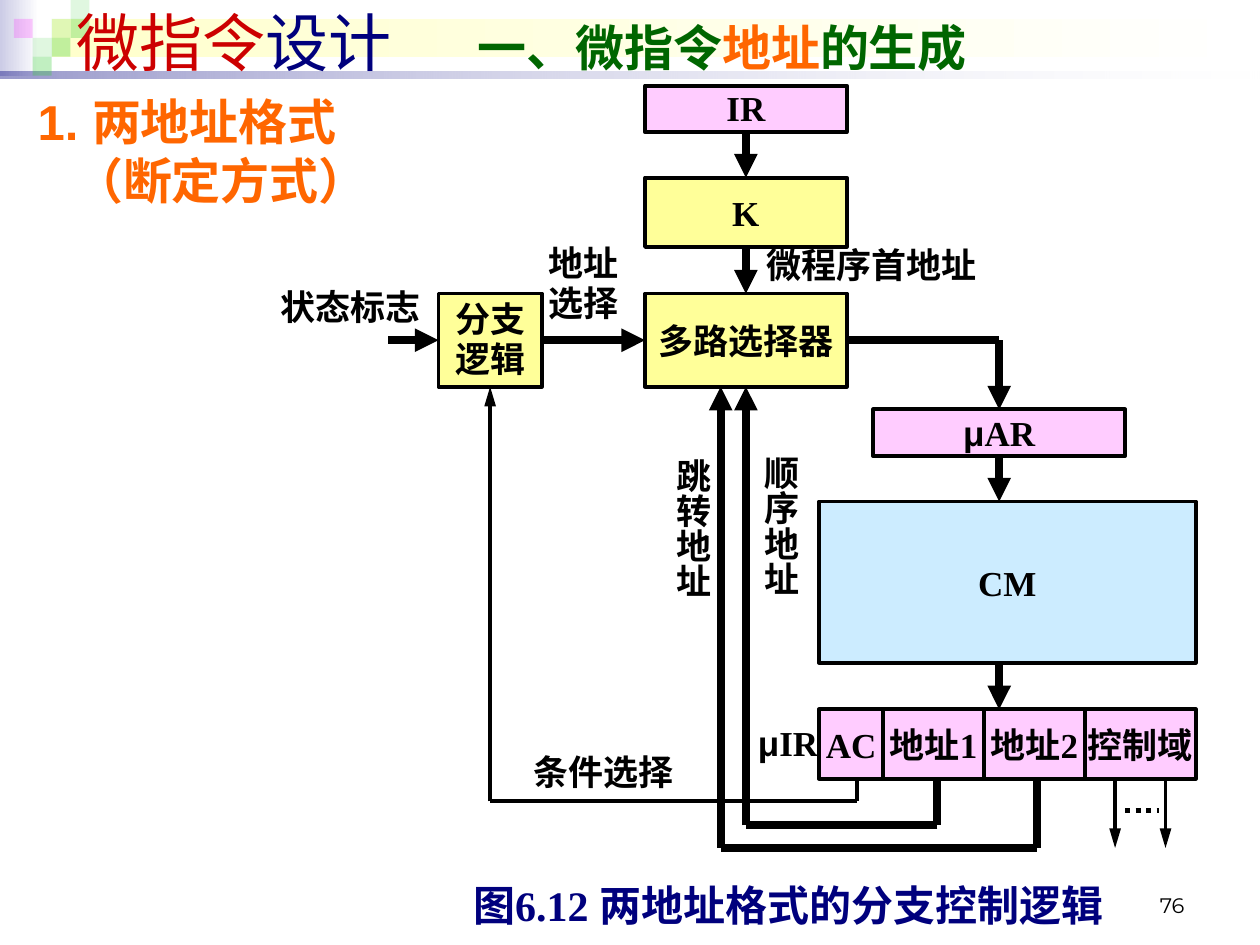
"""Build the slide on two-address microinstruction branch control."""
from dataclasses import dataclass
from itertools import pairwise
from typing import NamedTuple

from lxml import etree
from pptx import Presentation
from pptx.dml.color import RGBColor
from pptx.enum.dml import MSO_LINE
from pptx.enum.shapes import MSO_CONNECTOR, MSO_SHAPE
from pptx.enum.text import MSO_ANCHOR, PP_ALIGN
from pptx.oxml.ns import qn
from pptx.util import Inches, Pt

RECTANGLE, STRAIGHT = MSO_SHAPE.RECTANGLE, MSO_CONNECTOR.STRAIGHT
LEFT, CENTER, RIGHT = PP_ALIGN.LEFT, PP_ALIGN.CENTER, PP_ALIGN.RIGHT
MIDDLE, TOP_ANCHOR, BOTTOM_ANCHOR = MSO_ANCHOR.MIDDLE, MSO_ANCHOR.TOP, MSO_ANCHOR.BOTTOM
DOTTED = MSO_LINE.ROUND_DOT
TOP_SIDE, LEFT_SIDE, BOTTOM_SIDE, RIGHT_SIDE = range(4)
ARIAL, TIMES, NUMBER_FONT = "Arial", "Times New Roman", "Montserrat"
THIN, THICK = 2.25, 4.5
COLORS = {
    "white": "FFFFFF", "black": "000000", "navy": "00007D", "red": "CC0000",
    "green": "006600", "orange": "FF6600", "yellow": "FFFF99", "pink": "FFCCFF",
    "sky": "CCECFF", "lavender": "CCCCE6", "cream": "FFFFCC",
    "tile green": "33CC33", "tile magenta": "FF00FF",
}


class Rect(NamedTuple):
    left: float
    top: float
    width: float
    height: float


class Run(NamedTuple):
    text: str
    size: float = 20
    font: str = TIMES
    color: str = "black"
    bold: bool = True


class Joint(NamedTuple):
    block: str
    side: int


@dataclass
class Block:
    text: str
    rect: Rect
    color: str
    wrap: bool = False


@dataclass
class Label:
    lines: list[str]
    rect: Rect
    align: int = CENTER
    vertical: bool = False


@dataclass
class Route:
    points: list[tuple[float, float]]
    weight: float = THICK
    start: Joint | None = None
    finish: Joint | None = None


BLOCKS = {
    "CM": Block("CM", Rect(6.5, 3.98, 2.99, 1.28), "sky"),
    "AR": Block("μAR", Rect(6.93, 3.25, 2, 0.37), "pink"),
    "control": Block("控制域", Rect(8.61, 5.63, 0.88, 0.55), "pink"),
    "address 1": Block("地址1", Rect(7.01, 5.63, 0.8, 0.55), "pink"),
    "address 2": Block("地址2", Rect(7.81, 5.63, 0.8, 0.55), "pink"),
    "AC": Block("AC", Rect(6.5, 5.63, 0.51, 0.55), "pink"),
    "branch": Block("分支逻辑", Rect(3.48, 2.33, 0.82, 0.74), "yellow", True),
    "selector": Block("多路选择器", Rect(5.12, 2.33, 1.6, 0.74), "yellow"),
    "K": Block("K", Rect(5.12, 1.41, 1.6, 0.55), "yellow"),
    "IR": Block("IR", Rect(5.12, 0.68, 1.6, 0.37), "pink", True),
}
ROUTES = [
    Route([(8.85, 6.18), (8.85, 6.73)], THIN),
    Route([(9.25, 6.18), (9.25, 6.73)], THIN),
    Route([(8.23, 6.18), (8.23, 6.73), (5.72, 6.73), (5.72, 3.07)]),
    Route([(6.8, 6.18), (6.8, 6.36), (3.89, 6.36), (3.89, 3.07)], THIN,
          finish=Joint("branch", BOTTOM_SIDE)),
    Route([(7.44, 6.18), (7.44, 6.55), (5.92, 6.55), (5.92, 3.07)],
          finish=Joint("selector", BOTTOM_SIDE)),
    Route([(6.72, 2.7), (7.93, 2.7), (7.93, 3.25)],
          start=Joint("selector", RIGHT_SIDE), finish=Joint("AR", TOP_SIDE)),
    Route([(7.93, 3.62), (7.93, 3.98)], start=Joint("AR", BOTTOM_SIDE)),
    Route([(5.92, 1.96), (5.92, 2.33)],
          start=Joint("K", BOTTOM_SIDE), finish=Joint("selector", TOP_SIDE)),
    Route([(5.92, 1.05), (5.92, 1.41)],
          start=Joint("IR", BOTTOM_SIDE), finish=Joint("K", TOP_SIDE)),
    Route([(7.93, 5.26), (7.93, 5.63)]),
    Route([(4.3, 2.7), (5.12, 2.7)],
          start=Joint("branch", RIGHT_SIDE), finish=Joint("selector", LEFT_SIDE)),
    Route([(3.08, 2.7), (3.48, 2.7)], finish=Joint("branch", LEFT_SIDE)),
]
LABELS = [
    Label(["条件选择"], Rect(4.14, 6, 1.3, 0.28)),
    Label(["μIR"], Rect(5.98, 5.63, 0.55, 0.55)),
    Label(["状态标志"], Rect(2.16, 2.25, 1.24, 0.4)),
    Label(["地址", "选择"], Rect(4.34, 1.94, 0.58, 0.64)),
    Label(["微程序首地址"], Rect(6.08, 1.94, 2.07, 0.35), LEFT),
    Label(["跳转地址"], Rect(5.32, 3.64, 0.32, 1.37), vertical=True),
    Label(["顺序地址"], Rect(6.02, 3.62, 0.32, 1.18), vertical=True),
]
TILE = 0.15
TILES = [
    (0.41, 0.15, "tile green", 15), (0.56, 0, "tile green", 15),
    (0.56, 0.15, "tile green", 30), (0.26, 0.3, "tile green", 15),
    (0.11, 0.15, "tile magenta", 20), (0.41, 0.3, "tile green", 30),
    (0.26, 0.45, "tile green", 30),
]
BANDS = [
    (Rect(0, 0, 0.31, 0.6), "lavender", (100, 100)),
    (Rect(0.41, 0.15, 9.55, 0.3), "cream", (100, 100)),
    (Rect(0, 0.57, 10, 0.05), "navy", (10, 40)),
]


def rgb(color: str) -> RGBColor:
    return RGBColor.from_string(COLORS[color])


def inches(values) -> list:
    return [Inches(value) for value in values]


def diagram_runs(text: str) -> list[Run]:
    return [Run(part, font=ARIAL if part == "μ" else TIMES)
            for part in text.partition("μ") if part]


def set_opacity(color_parent, percent: int) -> None:
    for color in color_parent.iter(qn("a:srgbClr")):
        etree.SubElement(color, qn("a:alpha"), val=str(percent * 1000))


def write(shape, paragraphs: list[list[Run]], align=CENTER, anchor=MIDDLE,
          wrap=False, margins=(0, 0), spacing=None) -> None:
    frame = shape.text_frame
    side, edge = inches(margins)
    frame_format = {"margin_left": side, "margin_right": side, "margin_top": edge,
                    "margin_bottom": edge, "vertical_anchor": anchor, "word_wrap": wrap}
    for name, value in frame_format.items():
        setattr(frame, name, value)
    for index, runs in enumerate(paragraphs):
        paragraph = frame.add_paragraph() if index else frame.paragraphs[0]
        paragraph.alignment = align
        paragraph.line_spacing = spacing
        for run in runs:
            if run.text == "\n":
                paragraph.add_line_break()
                continue
            piece = paragraph.add_run()
            piece.text = run.text
            for name, value in {"size": Pt(run.size), "name": run.font, "bold": run.bold}.items():
                setattr(piece.font, name, value)
            piece.font.color.rgb = rgb(run.color)


def add_rectangle(slide, rect: Rect, color: str, outlined: bool = False):
    rectangle = slide.shapes.add_shape(RECTANGLE, *inches(rect))
    rectangle.shadow.inherit = False
    rectangle.fill.solid()
    rectangle.fill.fore_color.rgb = rgb(color)
    if outlined:
        rectangle.line.color.rgb = rgb("black")
        rectangle.line.width = Pt(THIN)
    else:
        rectangle.line.fill.background()
    return rectangle


def add_header(slide) -> None:
    for rect, color, opacities in BANDS:
        band = add_rectangle(slide, rect, color)
        band.fill.gradient()
        band.fill.gradient_angle = 180
        for stop, shade, opacity in zip(band.fill.gradient_stops, ("white", color), opacities):
            stop.color.rgb = rgb(shade)
            if opacity < 100:
                set_opacity(stop._gs, opacity)
    for left, top, color, opacity in TILES:
        tile = add_rectangle(slide, Rect(left, top, TILE, TILE), color)
        set_opacity(tile._element.spPr, opacity)


def add_title(slide) -> None:
    title = slide.shapes.title
    title.left, title.top, title.width, title.height = inches(Rect(0.51, -0.03, 9.37, 0.71))
    properties = title.text_frame.paragraphs[0]._p.get_or_add_pPr()
    tabs = etree.SubElement(properties, qn("a:tabLst"))
    etree.SubElement(tabs, qn("a:tab"), pos=str(Inches(3.18)), algn="l")
    write(title, [[Run("微指令", 36, ARIAL, "red", False), Run("设计\t", 36, ARIAL, "navy", False),
                   Run("一、微指令", 28, ARIAL, "green"), Run("地址", 28, ARIAL, "orange"),
                   Run("的生成", 28, ARIAL, "green")]], LEFT, wrap=True, margins=(0.1, 0.05))
    slide.shapes._spTree.append(title._element)


def add_segment(slide, start, finish, weight: float):
    segment = slide.shapes.add_connector(STRAIGHT, *inches((*start, *finish)))
    segment.line.color.rgb = rgb("black")
    segment.line.width = Pt(weight)
    etree.SubElement(segment._element.spPr, qn("a:effectLst"))
    return segment


def add_route(slide, route: Route, drawn: dict) -> None:
    segments = [add_segment(slide, *ends, route.weight) for ends in pairwise(route.points)]
    if route.start:
        segments[0].begin_connect(drawn[route.start.block], route.start.side)
    if route.finish:
        segments[-1].end_connect(drawn[route.finish.block], route.finish.side)
    etree.SubElement(segments[-1].line._get_or_add_ln(), qn("a:tailEnd"), type="triangle",
                     len="lg" if route.weight == THIN else "med")


def add_label(slide, label: Label) -> None:
    box = slide.shapes.add_textbox(*inches(label.rect))
    write(box, [diagram_runs(line) for line in label.lines], label.align,
          wrap=label.vertical, spacing=0.96)
    if label.vertical:
        box.text_frame._txBody.bodyPr.set("vert", "eaVert")


def main() -> None:
    deck = Presentation()
    deck.slide_width, deck.slide_height = inches((10, 7.5))
    slide = deck.slides.add_slide(deck.slide_layouts[5])
    add_header(slide)
    add_title(slide)
    caption = add_rectangle(slide, Rect(3.5, 6.98, 5.51, 0.43), "white")
    write(caption, [[Run("图6.12 两地址格式的分支控制逻辑", 24, color="navy")]], spacing=0.96)
    drawn = {}
    for key, block in BLOCKS.items():
        drawn[key] = add_rectangle(slide, block.rect, block.color, True)
        write(drawn[key], [diagram_runs(block.text)], wrap=block.wrap,
              margins=(0.1 if block.wrap else 0, 0.05), spacing=0.96 if block.wrap else None)
    for route in ROUTES:
        add_route(slide, route, drawn)
    add_segment(slide, (8.93, 6.43), (9.2, 6.43), 3).line.dash_style = DOTTED
    for label in LABELS:
        add_label(slide, label)
    heading = slide.shapes.add_textbox(*inches(Rect(0.2, 0.68, 9.61, 1.18)))
    indent = heading.text_frame.paragraphs[0]._p.get_or_add_pPr()
    indent.set("marL", str(Inches(0.29)))
    indent.set("indent", str(Inches(-0.29)))
    write(heading, [[Run(text, 28, ARIAL, "orange") for text in ("1. 两地址格式", "\n", "（断定方式）")]],
          LEFT, TOP_ANCHOR, True, (0.1, 0.05))
    number = slide.shapes.add_textbox(*inches(Rect(7.17, 6.83, 2.33, 0.5)))
    write(number, [[Run("76", 12, NUMBER_FONT, bold=False)]], RIGHT, BOTTOM_ANCHOR, True, (0.1, 0.05))
    deck.save("out.pptx")


if __name__ == "__main__":
    main()
